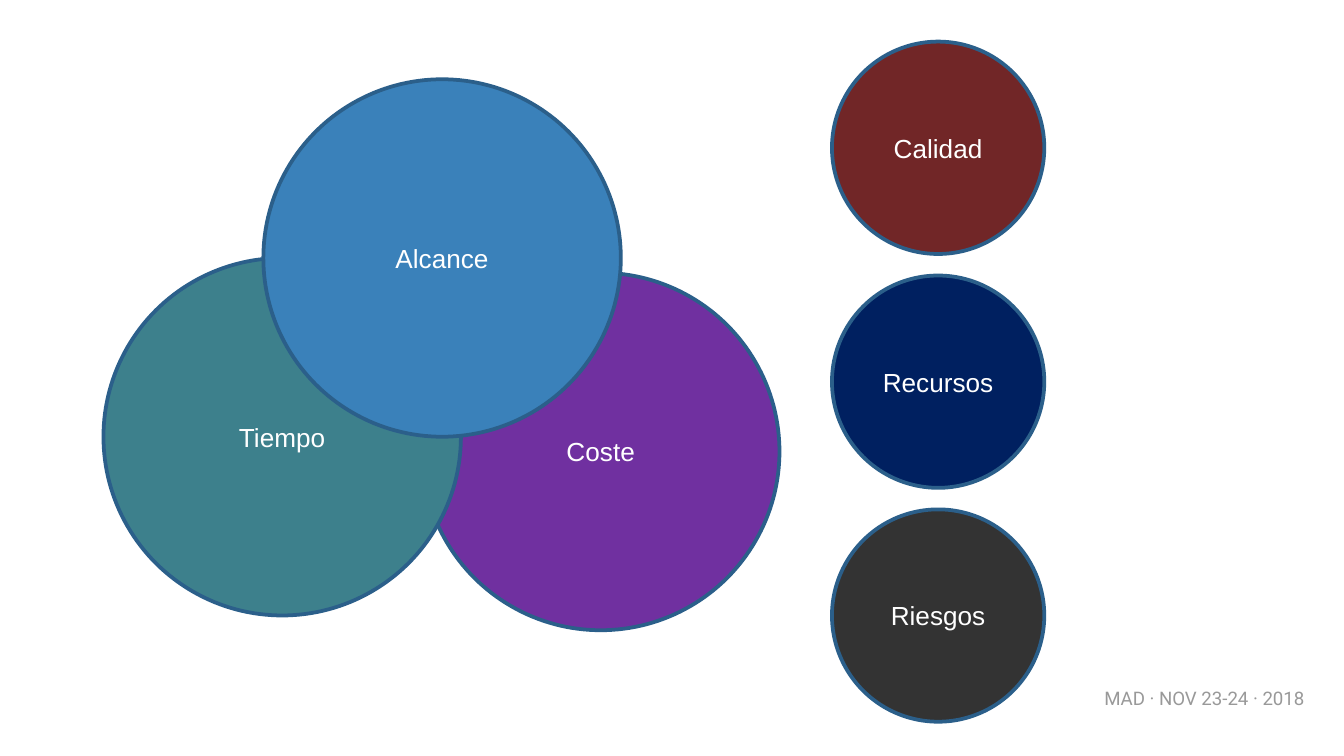
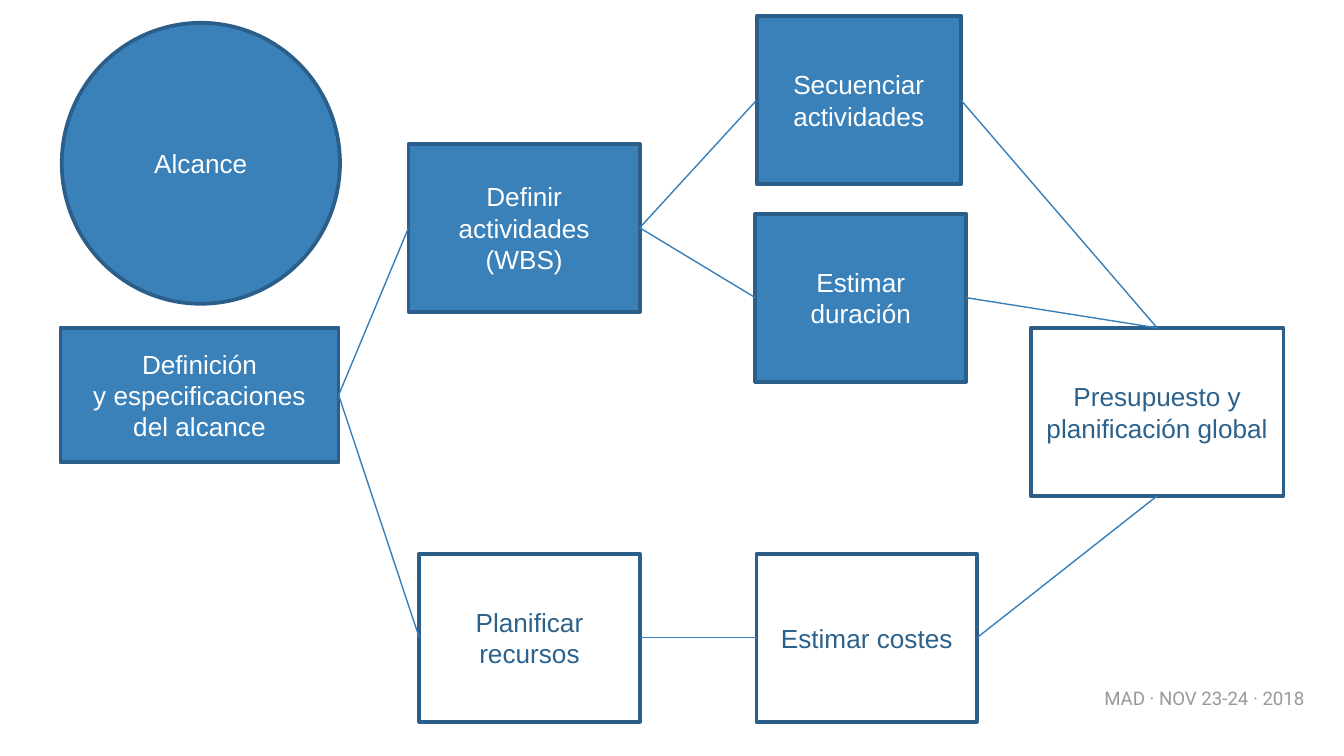
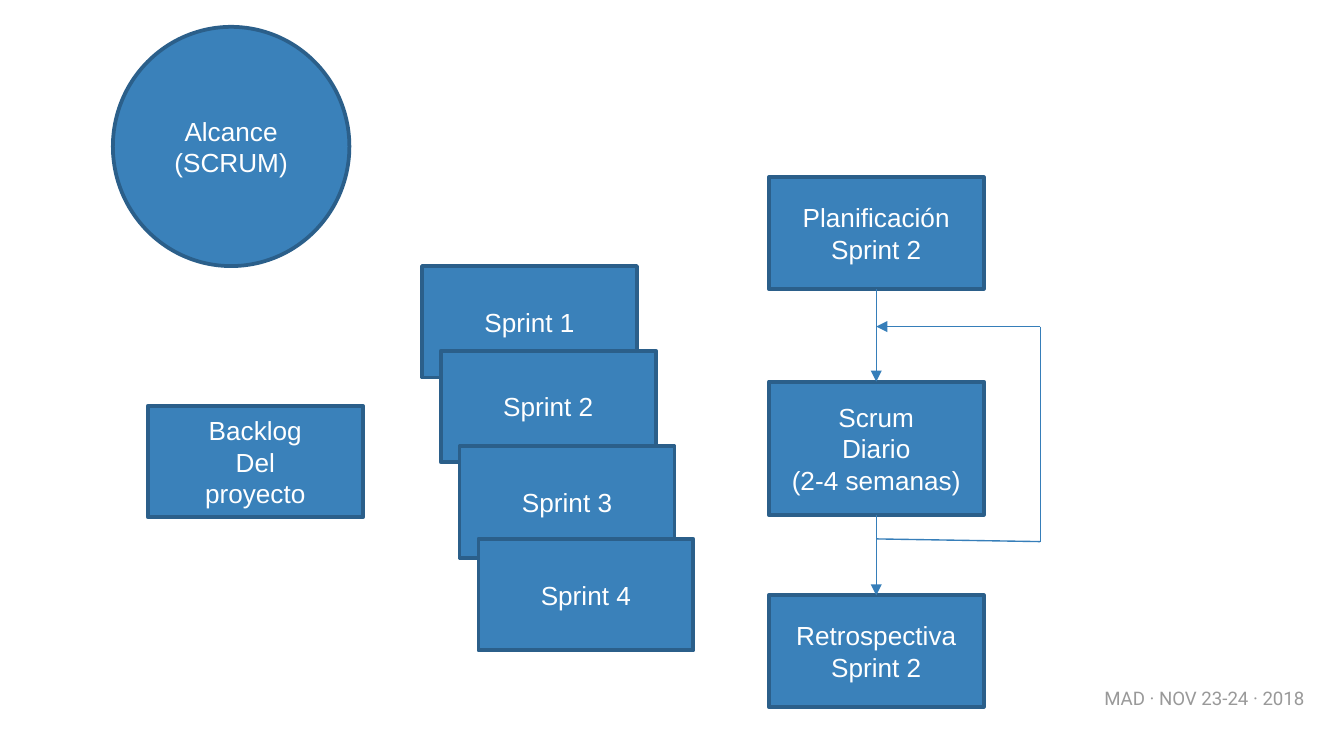
from pptx import Presentation
from pptx.dml.color import RGBColor
from pptx.enum.shapes import MSO_CONNECTOR as Connector, MSO_SHAPE as Preset
from pptx.enum.text import MSO_ANCHOR as Anchor, PP_ALIGN as Align
from pptx.oxml.ns import qn
from pptx.util import Inches, Pt
from lxml.etree import SubElement

WHITE = RGBColor(0xFF, 0xFF, 0xFF)
BLUE = RGBColor(0x3A, 0x81, 0xBA)
OUTLINE = RGBColor(0x2B, 0x5F, 0x8A)
LINK = RGBColor(0x36, 0x7E, 0xB9)
BLUE_TEXT = RGBColor(0x2B, 0x61, 0x8B)
PURPLE = RGBColor(0x70, 0x30, 0xA0)
TEAL = RGBColor(0x3D, 0x80, 0x8C)
MAROON = RGBColor(0x71, 0x26, 0x27)
NAVY = RGBColor(0x00, 0x20, 0x60)
CHARCOAL = RGBColor(0x33, 0x33, 0x33)
GREY = RGBColor(0x99, 0x99, 0x99)

# Grid: 100 columns across, square cells, 56.25 rows down
CELL = Inches(0.1)
TOP, LEFT, BOTTOM, RIGHT = range(4)  # connection sites of a rectangle


def add_node(slide, preset, box, lines, fill=BLUE, text_color=WHITE):
    """Add a filled, outlined shape; box is left, top, width, height in cells."""
    shape = slide.shapes.add_shape(preset, *[round(cells * CELL) for cells in box])
    shape.shadow.inherit = False
    shape.fill.solid()
    shape.fill.fore_color.rgb = fill
    shape.line.color.rgb = OUTLINE
    shape.line.width = Pt(2)
    frame = shape.text_frame
    frame.word_wrap = True
    frame.vertical_anchor = Anchor.MIDDLE
    for index, line in enumerate(lines):
        paragraph = frame.add_paragraph() if index else frame.paragraphs[0]
        paragraph.alignment = Align.CENTER
        run = paragraph.add_run()
        run.text = line
        run.font.name = "Arial"
        run.font.size = Pt(14)
        run.font.color.rgb = text_color
    return shape


def add_link(slide, start=(0, 0), end=(0, 0), arrow=False):
    """Add a thin straight connector between two grid points."""
    connector = slide.shapes.add_connector(
        Connector.STRAIGHT, *[round(cells * CELL) for cells in start + end])
    connector.line.color.rgb = LINK
    connector.line.width = Pt(0.75)
    if arrow:
        SubElement(connector.line._get_or_add_ln(), qn("a:tailEnd"), type="triangle")
    SubElement(connector._element.spPr, qn("a:effectLst"))
    return connector


presentation = Presentation()
presentation.slide_width = 100 * CELL
presentation.slide_height = round(56.25 * CELL)
blank = presentation.slide_layouts[6]
slides = [presentation.slides.add_slide(blank) for _ in range(3)]
constraints, planning, scrum = slides

# Shared footer
for slide in slides:
    footer = slide.shapes.add_textbox(
        *[round(cells * CELL) for cells in (79.7, 50.3, 19.8, 3.9)])
    frame = footer.text_frame
    frame.word_wrap = True
    frame.margin_left = frame.margin_right = CELL
    frame.margin_top = frame.margin_bottom = CELL
    paragraph = frame.paragraphs[0]
    paragraph.alignment = Align.CENTER
    run = paragraph.add_run()
    run.text = "MAD · NOV 23-24 · 2018"
    run.font.name = "Roboto"
    run.font.size = Pt(10)
    run.font.color.rgb = GREY

# Slide 1: three overlapping circles and a column of three more
for label, left, top, fill in [
    ("Coste", 31.4, 20.3, PURPLE),
    ("Tiempo", 7.7, 19.2, TEAL),
    ("Alcance", 19.6, 5.9, BLUE),
]:
    add_node(constraints, Preset.OVAL, (left, top, 26.6, 26.6), [label], fill)

for row, (label, fill) in enumerate(
        [("Calidad", MAROON), ("Recursos", NAVY), ("Riesgos", CHARCOAL)]):
    add_node(constraints, Preset.OVAL, (61.9, 3.1 + 17.4 * row, 15.8, 15.8), [label], fill)

# Slide 2: scope steps in blue, resource steps in white
add_node(planning, Preset.OVAL, (4.6, 1.7, 20.7, 20.9), ["Alcance"])
steps = {}
for name, box, lines, fill, text_color in [
    ("scope", (4.5, 24.4, 20.7, 10),
     ["Definición", "y especificaciones", "del alcance"], BLUE, WHITE),
    ("activities", (30.4, 10.7, 17.2, 12.5), ["Definir actividades", "(WBS)"], BLUE, WHITE),
    ("sequence", (56.3, 1.2, 15.2, 12.5), ["Secuenciar actividades"], BLUE, WHITE),
    ("duration", (56.2, 15.9, 15.7, 12.5), ["Estimar", "duración"], BLUE, WHITE),
    ("resources", (31.2, 41.2, 16.4, 12.5), ["Planificar recursos"], WHITE, BLUE_TEXT),
    ("costs", (56.3, 41.2, 16.4, 12.5), ["Estimar costes"], WHITE, BLUE_TEXT),
    ("budget", (76.7, 24.4, 18.8, 12.5),
     ["Presupuesto y planificación global"], WHITE, BLUE_TEXT),
]:
    steps[name] = add_node(planning, Preset.RECTANGLE, box, lines, fill, text_color)

for source, target, target_site in [
    ("activities", "sequence", LEFT),
    ("activities", "duration", LEFT),
    ("scope", "activities", LEFT),
    ("scope", "resources", LEFT),
    ("resources", "costs", LEFT),
    ("sequence", "budget", TOP),
    ("duration", "budget", TOP),
    ("costs", "budget", BOTTOM),
]:
    link = add_link(planning)
    link.begin_connect(steps[source], RIGHT)
    link.end_connect(steps[target], target_site)

# Slide 3: scope, backlog and the staircase of sprints
CARD = (16, 8.3)
add_node(scrum, Preset.OVAL, (8.4, 2, 17.6, 17.8), ["Alcance", "(SCRUM)"])
add_node(scrum, Preset.RECTANGLE, (11, 30.2, *CARD), ["Backlog", "Del", "proyecto"])
for index, top in enumerate([19.8, 26.1, 33.2, 40.1]):
    add_node(scrum, Preset.RECTANGLE, (31.4 + 1.4 * index, top, *CARD),
             [f"Sprint {index + 1}"])

# The stages of one sprint, from top to bottom
stages = [
    add_node(scrum, Preset.RECTANGLE, (57.2, top, 16, height), lines)
    for top, height, lines in [
        (13.2, 8.3, ["Planificación", "Sprint 2"]),
        (28.4, 9.9, ["Scrum", "Diario", "(2-4 semanas)"]),
        (44.3, 8.3, ["Retrospectiva", "Sprint 2"]),
    ]
]
for upper, lower in zip(stages, stages[1:]):
    link = add_link(scrum, arrow=True)
    link.begin_connect(upper, BOTTOM)
    link.end_connect(lower, TOP)

# Daily loop back to the start of the sprint
add_link(scrum, (77.4, 40.3), (65.2, 40.1))
add_link(scrum, (77.4, 24.3), (65.2, 24.3), arrow=True)
add_link(scrum, (77.4, 24.3), (77.4, 40.3))

presentation.save("out.pptx")
